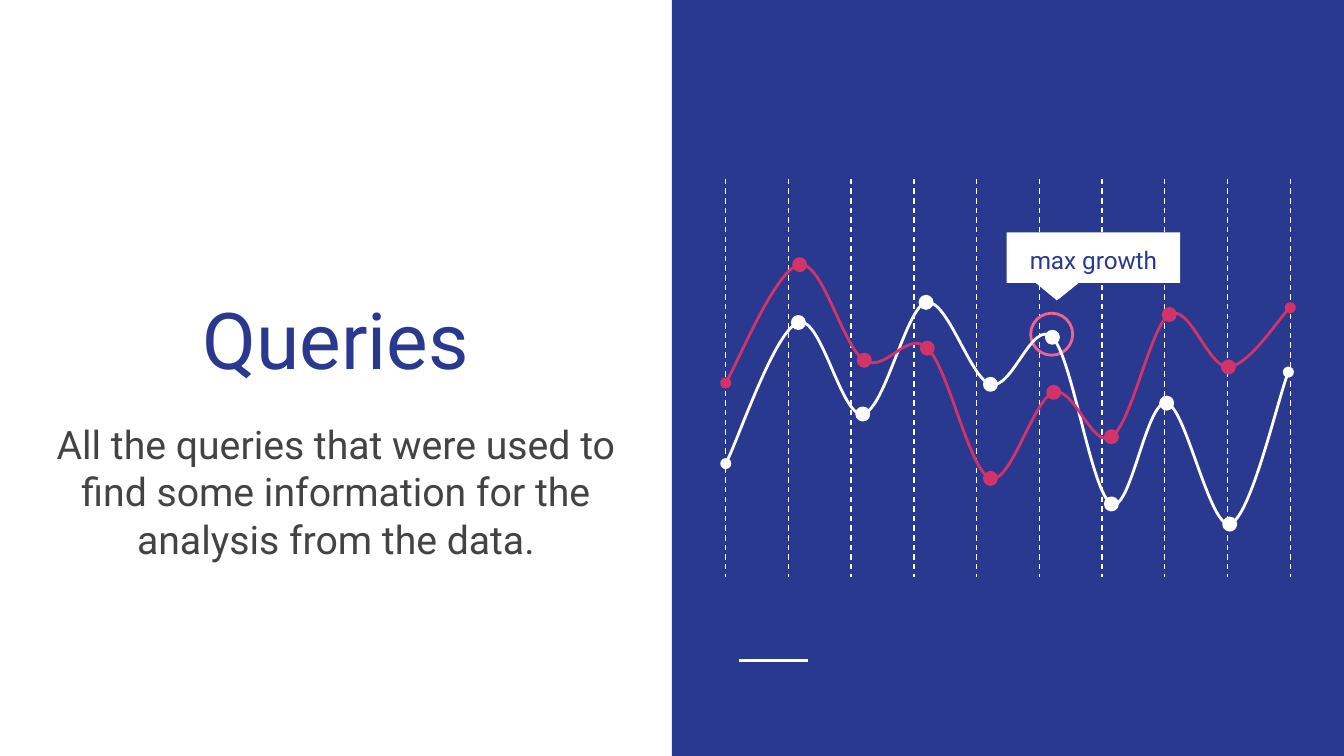
from dataclasses import dataclass

from lxml import etree
from pptx import Presentation
from pptx import util as u
from pptx.dml.color import RGBColor
from pptx.enum import dml, shapes, text
from pptx.oxml.ns import qn

COLORS = {"navy": "2A3990", "white": "FFFFFF", "pink": "F06292", "red": "D23369", "gray": "434343"}
FONT = "Roboto"
DOT_SIZE = 6.5
GRID_LEFT, GRID_RIGHT, GRID_TOP, GRID_BOTTOM, GRID_LINES = 388.8, 691.2, 95.8, 308.9, 10


@dataclass(frozen=True)
class Box:
    left: float
    top: float
    width: float
    height: float


@dataclass(frozen=True)
class Series:
    color: str
    start: tuple[float, float]
    curves: tuple[tuple[float, ...], ...]


GROWTH = Series("white", (388.8, 248.4), (
    (395.3, 236.2, 415.4, 177.1, 427.7, 172.8),
    (439.9, 168.5, 450.7, 223.9, 462.2, 221.8),
    (473.8, 220.3, 485.3, 164.9, 496.1, 162),
    (507.6, 159.8, 519.8, 203, 530.6, 205.9),
    (542.2, 209.5, 553, 170.6, 563.8, 180.7),
    (574.6, 191.5, 584.6, 264.2, 595.4, 270),
    (605.5, 275.8, 614.2, 213.8, 625, 216),
    (635, 217.4, 648, 283, 658.8, 280.8),
    (669.6, 277.9, 684.7, 213.1, 690.2, 199.4),
))
COMPARISON = Series("red", (388.8, 205.2), (
    (395.3, 194.4, 416.2, 144, 428.4, 141.8),
    (440.6, 139.7, 451.4, 185.8, 463, 193),
    (474.5, 200.2, 486, 176.4, 496.8, 186.5),
    (508.3, 197.3, 519.1, 252, 530.6, 256.3),
    (541.4, 259.9, 553.7, 213.8, 564.5, 210.2),
    (575.3, 206.6, 585.4, 241.2, 595.4, 234),
    (606.2, 227.5, 616.3, 175, 626.4, 168.5),
    (637.2, 162, 647.3, 197.3, 658.1, 196.6),
    (668.9, 195.8, 685.4, 169.9, 691.2, 164.9),
))


def rgb(name: str) -> RGBColor:
    return RGBColor.from_string(COLORS[name])


def place(shape, box: Box) -> None:
    shape.left, shape.top = u.Pt(box.left), u.Pt(box.top)
    shape.width, shape.height = u.Pt(box.width), u.Pt(box.height)


def paint(shape, fill: str | None = None, line: str | None = None) -> None:
    shape.shadow.inherit = False
    if fill:
        shape.fill.solid()
        shape.fill.fore_color.rgb = rgb(fill)
    else:
        shape.fill.background()
    if line:
        shape.line.color.rgb = rgb(line)
        shape.line.width = u.Pt(1.5)
    else:
        shape.line.fill.background()


def add_shape(page, kind, box: Box, fill: str | None = None, line: str | None = None):
    shape = page.shapes.add_shape(
        kind, u.Pt(box.left), u.Pt(box.top), u.Pt(box.width), u.Pt(box.height))
    paint(shape, fill, line)
    return shape


def add_line(page, start: tuple[float, float], end: tuple[float, float],
             width: float, dashed: bool = False) -> None:
    line = page.shapes.add_connector(
        shapes.MSO_CONNECTOR.STRAIGHT, *(u.Pt(value) for value in start + end))
    line.line.color.rgb = rgb("white")
    line.line.width = u.Pt(width)
    if dashed:
        line.line.dash_style = dml.MSO_LINE.DASH
    etree.SubElement(line.element.spPr, qn("a:effectLst"))


def add_curve(page, series: Series) -> None:
    points = [(u.Pt(curve[index]), u.Pt(curve[index + 1]))
              for curve in series.curves for index in (0, 2, 4)]
    builder = page.shapes.build_freeform(*(u.Pt(value) for value in series.start))
    builder.add_line_segments(points, close=False)
    shape = builder.convert_to_shape()
    paint(shape, line=series.color)
    outline = next(shape.element.iter(qn("a:path")))
    segments = outline.findall(qn("a:lnTo"))
    for first in range(0, len(segments), 3):
        bezier = etree.SubElement(outline, qn("a:cubicBezTo"))
        for segment in segments[first:first + 3]:
            bezier.append(segment[0])
            outline.remove(segment)
    stroke = shape.element.spPr.find(qn("a:ln"))
    for end in ("a:headEnd", "a:tailEnd"):
        etree.SubElement(stroke, qn(end), type="oval")


def add_series(page, series: Series) -> None:
    add_curve(page, series)
    for *_, x, y in series.curves[:-1]:
        box = Box(x - DOT_SIZE / 2, y - DOT_SIZE / 2, DOT_SIZE, DOT_SIZE)
        add_shape(page, shapes.MSO_SHAPE.OVAL, box, series.color, series.color)


def write(shape, words: str, *, size: float, color: str,
          anchor=text.MSO_ANCHOR.TOP, spacing: float = 1.0) -> None:
    frame = shape.text_frame
    frame.word_wrap = True
    frame.auto_size = text.MSO_AUTO_SIZE.NONE
    frame.vertical_anchor = anchor
    frame.margin_left = frame.margin_right = frame.margin_top = frame.margin_bottom = u.Pt(7.2)
    para = frame.paragraphs[0]
    para.alignment = text.PP_ALIGN.CENTER
    para.line_spacing = spacing
    span = para.add_run()
    span.text = words
    span.font.name = FONT
    span.font.size = u.Pt(size)
    span.font.color.rgb = rgb(color)


def add_text(page, words: str, box: Box, **style) -> None:
    shape = page.shapes.add_textbox(0, 0, 0, 0)
    place(shape, box)
    write(shape, words, **style)


def main() -> None:
    deck = Presentation()
    deck.slide_width, deck.slide_height = u.Pt(720), u.Pt(405)
    page = deck.slides.add_slide(deck.slide_layouts[5])

    title = page.shapes.title
    place(title, Box(20.9, 90.7, 318.2, 123.1))
    write(title, "Queries", size=42, color="navy", anchor=text.MSO_ANCHOR.BOTTOM)
    add_text(page, "All the queries that were used to find some information "
             "for the analysis from the data.",
             Box(20.9, 218.2, 318.2, 100.1), size=21, color="gray")

    add_shape(page, shapes.MSO_SHAPE.RECTANGLE, Box(360, 0, 360, 405), "navy")
    add_line(page, (396, 354), (432.7, 354), 1.5)
    gap = (GRID_RIGHT - GRID_LEFT) / (GRID_LINES - 1)
    for index in range(GRID_LINES):
        x = GRID_LEFT + index * gap
        add_line(page, (x, GRID_TOP), (x, GRID_BOTTOM), 0.75, dashed=True)

    add_shape(page, shapes.MSO_SHAPE.OVAL, Box(552.2, 167.8, 22.5, 22.5), line="pink")
    add_series(page, GROWTH)
    callout = add_shape(page, shapes.MSO_SHAPE.ROUNDED_RECTANGULAR_CALLOUT,
                        Box(539.3, 124.5, 92.9, 27), "white")
    for index, value in enumerate((-0.21, 0.85, 0)):
        callout.adjustments[index] = value
    add_series(page, COMPARISON)
    add_text(page, "max growth", Box(539.3, 126.7, 92.9, 22.3), size=13,
             color="navy", anchor=text.MSO_ANCHOR.MIDDLE, spacing=1.15)

    deck.save("out.pptx")


if __name__ == "__main__":
    main()
